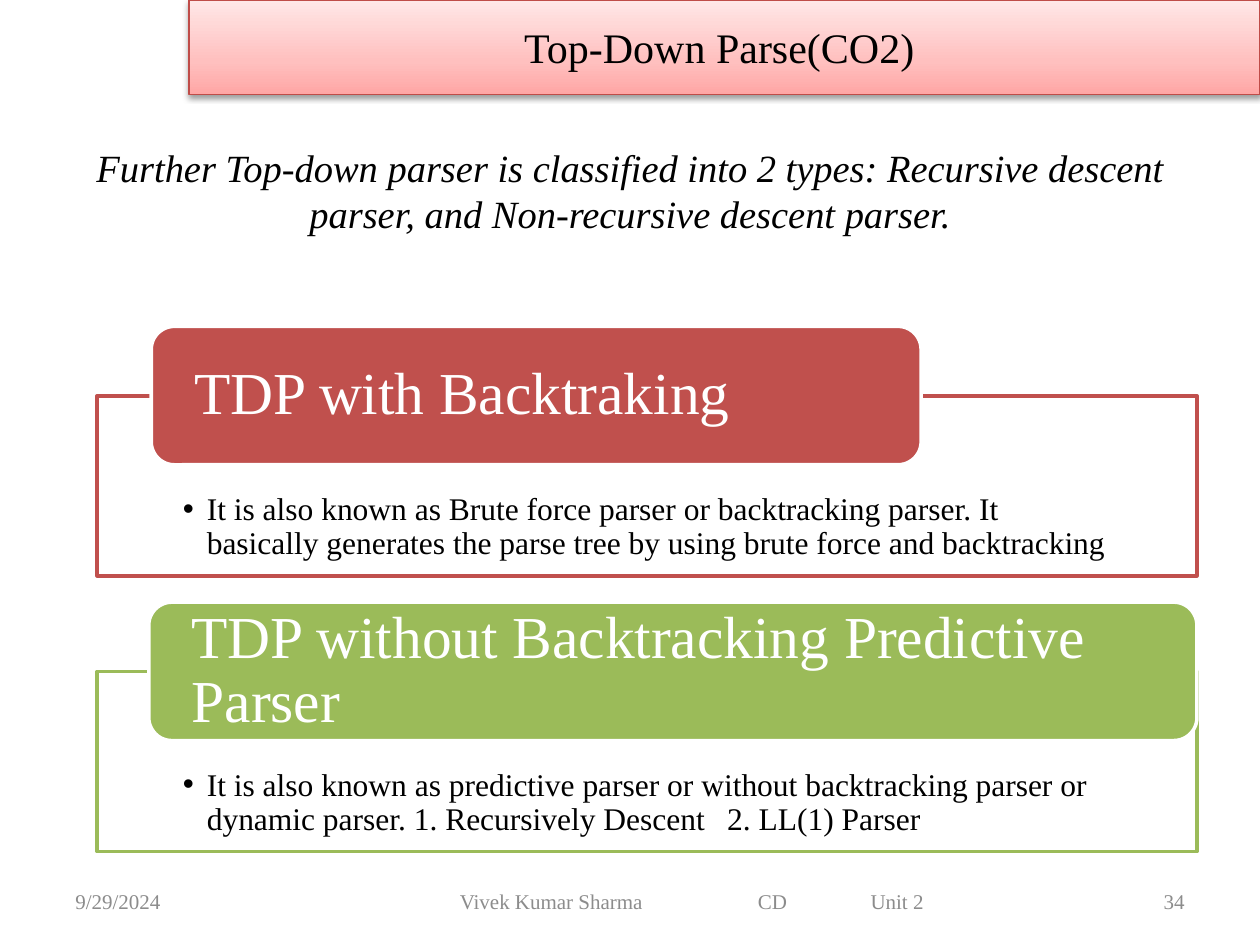
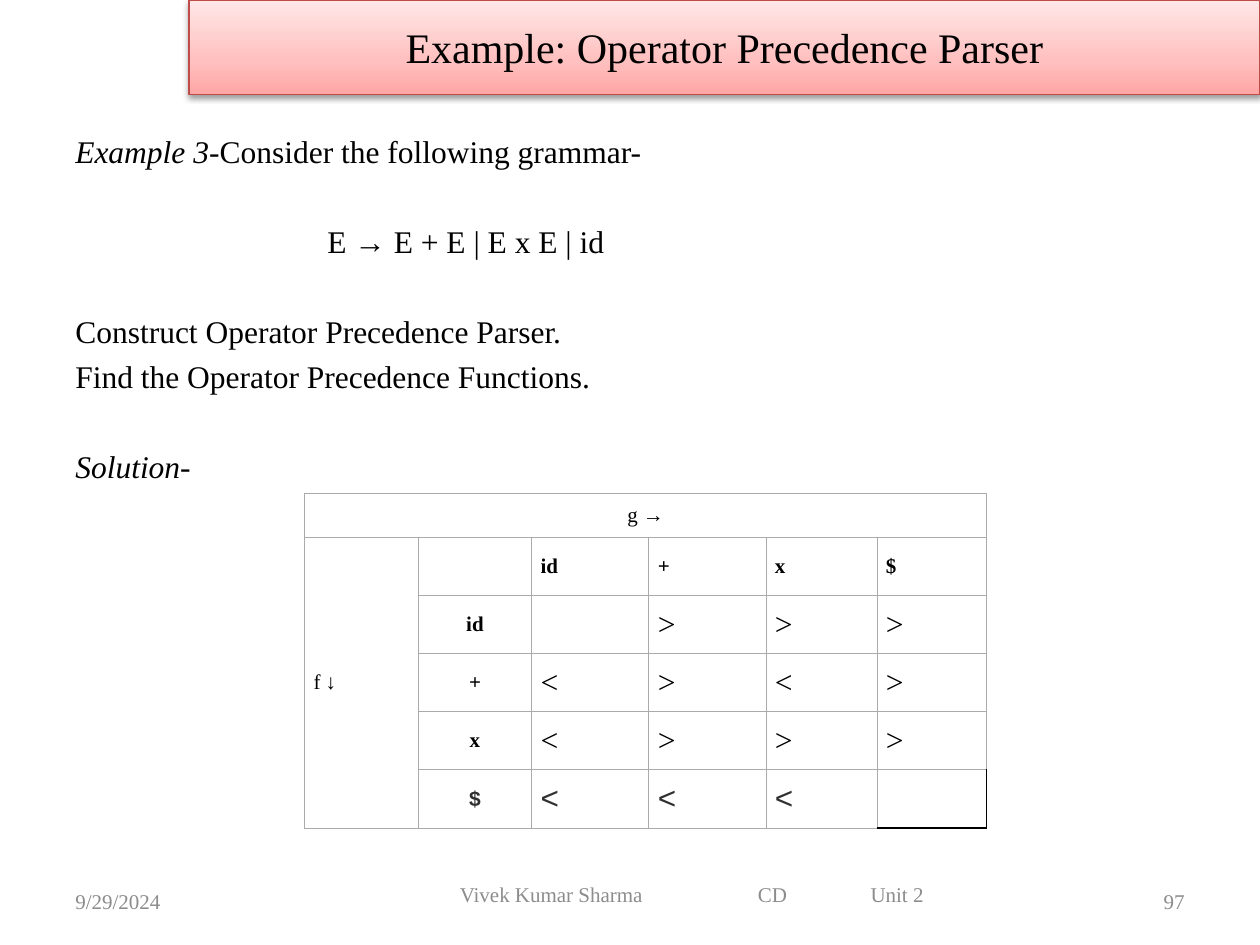
from copy import deepcopy

from lxml import etree
from pptx import Presentation
from pptx.dml.color import RGBColor
from pptx.enum.shapes import MSO_SHAPE
from pptx.enum.text import MSO_ANCHOR, PP_ALIGN
from pptx.oxml import parse_xml
from pptx.oxml.ns import nsdecls, qn
from pptx.util import Cm, Pt

RECTANGLE = MSO_SHAPE.RECTANGLE
ROUNDED = MSO_SHAPE.ROUNDED_RECTANGLE
LEFT, CENTER, RIGHT = PP_ALIGN.LEFT, PP_ALIGN.CENTER, PP_ALIGN.RIGHT
TOP, MIDDLE = MSO_ANCHOR.TOP, MSO_ANCHOR.MIDDLE

BLACK = RGBColor(0x00, 0x00, 0x00)
WHITE = RGBColor(0xFF, 0xFF, 0xFF)
DARK_GRAY = RGBColor(0x30, 0x30, 0x30)
FOOTER_GRAY = RGBColor(0x8C, 0x8C, 0x8C)
GRID_GRAY = RGBColor(0xAA, 0xAA, 0xAA)
RED = RGBColor(0xC0, 0x50, 0x4D)
GREEN = RGBColor(0x9B, 0xBB, 0x59)
BAND_LINE = RGBColor(0xBF, 0x4C, 0x48)
BAND_STOPS = (
    (0, RGBColor(0xFF, 0xA6, 0xA5)),
    (0.35, RGBColor(0xFF, 0xC0, 0xBF)),
    (1, RGBColor(0xFF, 0xE7, 0xE7)),
)
SERIF = "Times New Roman"
SANS = "Arial"
BAND_SHADOW = (
    f'<a:effectLst {nsdecls("a")}><a:outerShdw blurRad="40000" dist="20000" '
    'dir="5400000" rotWithShape="0"><a:srgbClr val="000000">'
    '<a:alpha val="38000"/></a:srgbClr></a:outerShdw></a:effectLst>'
)

FOOTER_TEXT = "Vivek Kumar Sharma\tCD\tUnit 2"
FOOTER_START = 9.27
FOOTER_TABS = (6.01, 8.28)
SIGNS = ("id", "+", "x", "$")
PRECEDENCE = (
    ("", ">", ">", ">"),
    ("<", ">", "<", ">"),
    ("<", ">", ">", ">"),
    ("<", "<", "<", ""),
)


def write(paragraph, text, size=18, color=BLACK, font=SERIF, bold=False,
          italic=False, align=LEFT):
    """Add a formatted run to a paragraph."""
    paragraph.alignment = align
    run = paragraph.add_run()
    run.text = text
    run.font.size = Pt(size)
    run.font.name = font
    run.font.bold = bold
    run.font.italic = italic
    run.font.color.rgb = color


def set_margins(target, left, top, right, bottom):
    """Set the inner margins of a text frame or cell in centimetres."""
    target.margin_left, target.margin_top = Cm(left), Cm(top)
    target.margin_right, target.margin_bottom = Cm(right), Cm(bottom)


def add_tabs(paragraph, positions):
    """Add left tab stops, given in centimetres."""
    properties = paragraph._p.get_or_add_pPr()
    stops = etree.SubElement(properties, qn("a:tabLst"))
    for position in positions:
        etree.SubElement(stops, qn("a:tab"), pos=str(Cm(position)), algn="l")


def indent(paragraph, left, first=0):
    """Indent a paragraph, in centimetres."""
    properties = paragraph._p.get_or_add_pPr()
    properties.set("marL", str(Cm(left)))
    properties.set("indent", str(Cm(first)))


def add_bullet(paragraph):
    """Give a paragraph a hanging bullet."""
    indent(paragraph, 0.48, -0.48)
    properties = paragraph._p.get_or_add_pPr()
    etree.SubElement(properties, qn("a:buFont"), typeface=SANS)
    etree.SubElement(properties, qn("a:buChar"), char="•")


def set_border(cell, side, color, width):
    """Draw one side (L, R, T or B) of a cell."""
    cell._tc.get_or_add_tcPr().append(parse_xml(
        f'<a:ln{side} {nsdecls("a")} w="{Pt(width)}"><a:solidFill>'
        f'<a:srgbClr val="{color}"/></a:solidFill></a:ln{side}>'
    ))


class Deck:
    """Hold the shared style and the current slide."""

    def __init__(self):
        """Start an empty 4:3 presentation."""
        self.presentation = Presentation()
        self.presentation.slide_width = Cm(25.4)
        self.presentation.slide_height = Cm(19.05)
        self.slide = None

    def add_slide(self, title, number, footer_box):
        """Add a slide with its title band and footer."""
        layout = self.presentation.slide_layouts[5]
        self.slide = self.presentation.slides.add_slide(layout)
        self.title_band(title)
        self.footer(number, footer_box)

    def title_band(self, text):
        """Format the title placeholder as a gradient band."""
        band = self.slide.shapes.title
        band.left, band.top, band.width, band.height = Cm(3.81), 0, Cm(21.59), Cm(1.9)
        band.fill.gradient()
        band.fill.gradient_angle = 90
        stop_list = band._element.xpath(".//a:gsLst")[0]
        stop_list.append(deepcopy(stop_list[0]))
        for stop, (position, color) in zip(band.fill.gradient_stops, BAND_STOPS):
            stop.position = position
            stop.color.rgb = color
        band.line.color.rgb = BAND_LINE
        band.line.width = Pt(0.75)
        band._element.spPr.append(parse_xml(BAND_SHADOW))
        band.text_frame.vertical_anchor = MIDDLE
        write(band.text_frame.paragraphs[0], text, size=24, align=CENTER)

    def text_box(self, left, top, width, height, anchor=TOP):
        """Add a wrapping text box and return its text frame."""
        box = self.slide.shapes.add_textbox(Cm(left), Cm(top), Cm(width), Cm(height))
        frame = box.text_frame
        frame.word_wrap = True
        frame.vertical_anchor = anchor
        return frame

    def footer(self, number, footer_box):
        """Add the date, the course line and the slide number."""
        left, width, height = footer_box
        style = {"size": 12, "color": FOOTER_GRAY}
        date = self.text_box(1.27, 17.65, 5.92, 1.02, MIDDLE)
        write(date.paragraphs[0], "9/29/2024", **style)
        course = self.text_box(left, 17.65, width, height, MIDDLE)
        course.margin_left = Cm(FOOTER_START - left)
        add_tabs(course.paragraphs[0], FOOTER_TABS)
        write(course.paragraphs[0], FOOTER_TEXT, **style)
        page = self.text_box(18.21, 17.65, 5.92, 1.02, MIDDLE)
        write(page.paragraphs[0], str(number), align=RIGHT, **style)

    def panel(self, kind, left, top, width, height, fill, line):
        """Add a filled and outlined shape and return it."""
        shape = self.slide.shapes.add_shape(
            kind, Cm(left), Cm(top), Cm(width), Cm(height))
        shape.shadow.inherit = False
        shape.fill.solid()
        shape.fill.fore_color.rgb = fill
        shape.line.color.rgb = line
        shape.line.width = Pt(2)
        shape.text_frame.word_wrap = True
        return shape

    def parser_type(self, top, label_left, label_width, color, label, detail, tabs=()):
        """Add a framed description with a coloured label over its top edge."""
        frame = self.panel(RECTANGLE, 1.96, top, 22.17, 3.63, WHITE, color)
        fill_color = frame._element.spPr.find(qn("a:solidFill"))[0]
        etree.SubElement(fill_color, qn("a:alpha"), val="90000")
        frame.text_frame.vertical_anchor = TOP
        set_margins(frame.text_frame, 1.73, 1.96, 1.73, 0.36)
        paragraph = frame.text_frame.paragraphs[0]
        paragraph.line_spacing = 0.9
        add_bullet(paragraph)
        if tabs:
            add_tabs(paragraph, tabs)
        write(paragraph, detail)

        tag = self.panel(ROUNDED, label_left, top - 1.4, label_width, 2.79, color, WHITE)
        tag.text_frame.vertical_anchor = MIDDLE
        set_margins(tag.text_frame, 0.73, 0.14, 0.73, 0.14)
        paragraph = tag.text_frame.paragraphs[0]
        paragraph.line_spacing = 0.9
        write(paragraph, label, size=34, color=WHITE)

    def table(self, left, top, widths, heights):
        """Add a plain table with gray grid lines and return it."""
        table = self.slide.shapes.add_table(
            len(heights), len(widths), Cm(left), Cm(top),
            Cm(sum(widths)), Cm(sum(heights))).table
        table.first_row = table.horz_banding = False
        for column, width in zip(table.columns, widths):
            column.width = Cm(width)
        for row, height in zip(table.rows, heights):
            row.height = Cm(height)
        corner = table.cell(len(heights) - 1, len(widths) - 1)
        for cell in table.iter_cells():
            set_margins(cell, 0.18, 0.15, 0.18, 0.15)
            cell.vertical_anchor = MIDDLE
            for side in "LRTB":
                if cell == corner and side in "RB":
                    set_border(cell, side, BLACK, 1)
                else:
                    set_border(cell, side, GRID_GRAY, 0.5)
            cell.fill.background()
        return table


def add_parser_types(deck):
    """Build the slide on the kinds of top-down parser."""
    deck.add_slide("Top-Down Parse(CO2) ", 34, (6.99, 13.97, 1.02))
    body = deck.text_box(1.27, 2.77, 22.86, 2.4)
    write(body.paragraphs[0],
          "Further Top-down parser is classified into 2 types: Recursive descent "
          "parser, and Non-recursive descent parser.",
          size=22, italic=True, align=CENTER)
    deck.parser_type(
        7.98, 3.05, 15.52, RED, "TDP with Backtraking",
        "It is also known as Brute force parser or backtracking parser. It "
        "basically generates the parse tree by using brute force and backtracking")
    deck.parser_type(
        13.54, 3.0, 21.13, GREEN, "TDP without Backtracking Predictive Parser",
        "It is also known as predictive parser or without backtracking parser or "
        "dynamic parser. 1. Recursively Descent\t2. LL(1) Parser", tabs=(10.97,))


def add_precedence_example(deck):
    """Build the slide with the operator precedence example."""
    deck.add_slide("Example: Operator Precedence Parser", 97, (8.69, 10.36, 0.76))
    frame = deck.text_box(1.27, 2.54, 22.5, 9.6)
    first = frame.paragraphs[0]
    write(first, "Example 3", italic=True)
    write(first, "-Consider the following grammar-")
    lines = (
        ("E → E + E | E x E | id", 29.7, 5.08, False),
        ("Construct Operator Precedence Parser.", 29.7, 0, False),
        ("Find the Operator Precedence Functions.", 4.4, 0, False),
        ("Solution-", 29.7, 0, True),
    )
    for text, space, left, italic in lines:
        paragraph = frame.add_paragraph()
        paragraph.space_before = Pt(space)
        indent(paragraph, left)
        write(paragraph, text, italic=italic)

    table = deck.table(6.14, 9.95, (2.29, 2.29, 2.36, 2.36, 2.24, 2.21),
                       (0.89,) + (1.17,) * 5)
    rows = [("g →",) + ("",) * 5, ("f ↓", "") + SIGNS]
    rows += [("", sign) + relations for sign, relations in zip(SIGNS, PRECEDENCE)]
    for row, texts in enumerate(rows):
        for column, text in enumerate(texts):
            cell = table.cell(row, column)
            is_relation = row > 1 and column > 1
            is_last_row = row == 5 and 0 < column < 5
            if is_last_row:
                cell.fill.solid()
                cell.fill.fore_color.rgb = WHITE
            write(cell.text_frame.paragraphs[0], text,
                  size=18 if is_relation else 12,
                  color=DARK_GRAY if is_last_row else BLACK,
                  font=SANS if is_last_row else SERIF,
                  bold=row > 0 and column > 0 and not is_relation,
                  align=CENTER if row == 0 or column == 1 else LEFT)
    table.cell(0, 0).merge(table.cell(0, 5))
    table.cell(1, 0).merge(table.cell(5, 0))


def main():
    """Build and save the presentation."""
    deck = Deck()
    add_parser_types(deck)
    add_precedence_example(deck)
    deck.presentation.save("out.pptx")


if __name__ == "__main__":
    main()
